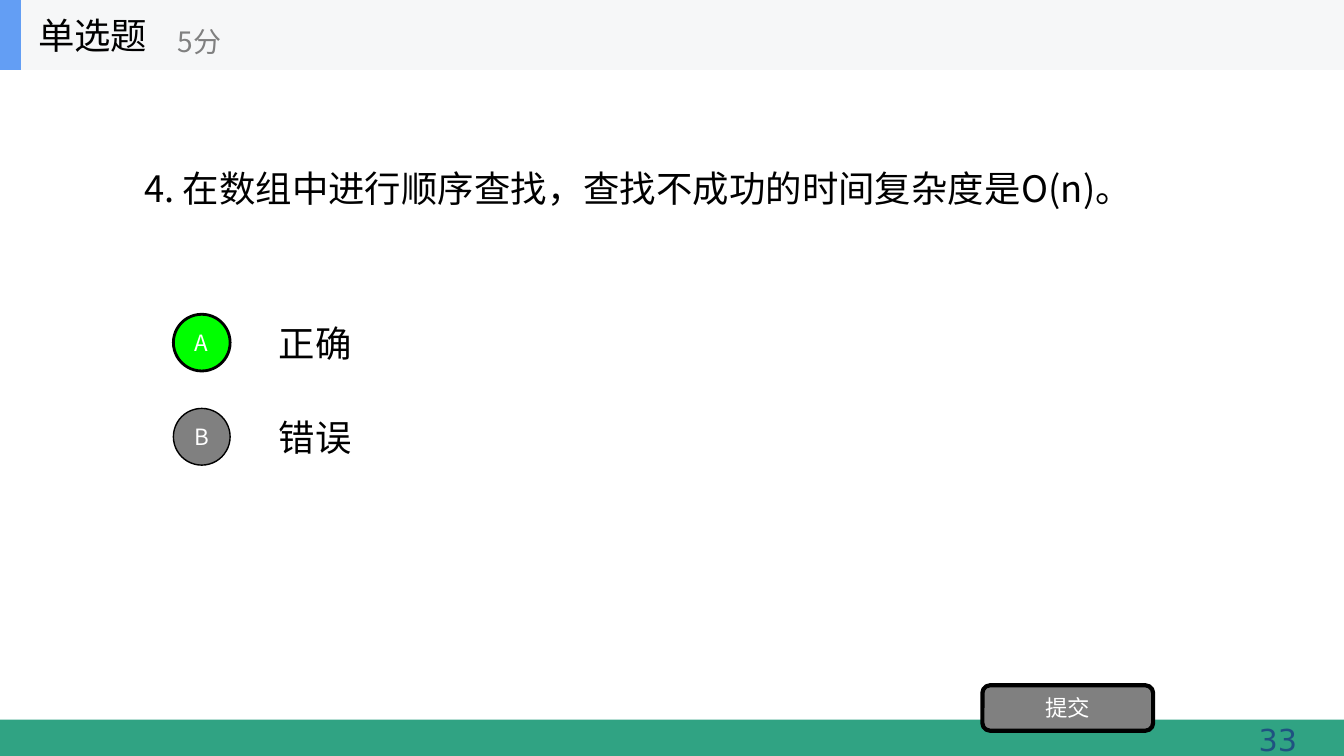
from pptx import Presentation
from pptx.dml.color import RGBColor
from pptx.enum.shapes import MSO_SHAPE as SHAPE
from pptx.enum.text import MSO_ANCHOR as ANCHOR, PP_ALIGN as ALIGN
from pptx.oxml.ns import qn
from pptx.util import Inches, Pt
from lxml import etree

BLACK = RGBColor(0x00, 0x00, 0x00)
WHITE = RGBColor(0xFF, 0xFF, 0xFF)
GREY = RGBColor(0x80, 0x80, 0x80)
PALE = RGBColor(0xF6, 0xF7, 0xF8)
BLUE = RGBColor(0x63, 0x9E, 0xF4)
NAVY = RGBColor(0x1F, 0x52, 0x81)
TEAL = RGBColor(0x30, 0xA3, 0x83)
GREEN = RGBColor(0x00, 0xFF, 0x00)


class QuizSlide:
    """Draws on one slide; boxes are (x, y, w, h) in percent of its size."""

    font = "Noto Sans CJK SC"

    def __init__(self, prs):
        self.w, self.h = prs.slide_width, prs.slide_height
        self.s = prs.slides.add_slide(prs.slide_layouts[6])

    def place(self, box):
        x, y, w, h = box
        return [int(v / 100 * size) for v, size in
                ((x, self.w), (y, self.h), (w, self.w), (h, self.h))]

    def fill_text(self, sp, text, size, color, align=ALIGN.LEFT,
                  anchor=ANCHOR.MIDDLE, font=None):
        tf = sp.text_frame
        tf.word_wrap = True
        tf.vertical_anchor = anchor
        p = tf.paragraphs[0]
        p.alignment = align
        r = p.add_run()
        r.text = text
        r.font.color.rgb = color
        for name, value in {"size": Pt(size), "name": font or self.font}.items():
            setattr(r.font, name, value)
        # East Asian typeface
        ea = etree.SubElement(r.font._element, qn("a:ea"))
        ea.set("typeface", self.font)

    def text(self, box, text, size=26, color=BLACK, **style):
        sp = self.s.shapes.add_textbox(*self.place(box))
        self.fill_text(sp, text, size, color, **style)

    def shape(self, kind, box, fill, line=0, label=None):
        sp = self.s.shapes.add_shape(kind, *self.place(box))
        sp.shadow.inherit = False
        sp.fill.solid()
        sp.fill.fore_color.rgb = fill
        if line:
            sp.line.color.rgb = BLACK
            sp.line.width = Pt(line)
        else:
            sp.line.fill.background()
        if label:
            tf = sp.text_frame
            for side in ("left", "right", "top", "bottom"):
                setattr(tf, f"margin_{side}", 0)
            self.fill_text(sp, label, 16, WHITE, align=ALIGN.CENTER)


def main():
    prs = Presentation()
    prs.slide_width, prs.slide_height = Inches(13.33), Inches(7.5)
    quiz = QuizSlide(prs)

    # Footer band and page number
    quiz.shape(SHAPE.RECTANGLE, (0, 95.2, 100, 4.8), TEAL)
    quiz.text((75.25, 94.8, 22, 6.1), "33", 21.6, NAVY, align=ALIGN.RIGHT,
              anchor=ANCHOR.TOP, font="DejaVu Sans")

    # Question
    quiz.text((10, 9.26, 80, 31.2), "4. 在数组中进行顺序查找，查找不成功的时间复杂度是O(n)。")

    # Answer options
    options = [("A", "正确", GREEN, 2), ("B", "错误", GREY, 1)]
    for i, (letter, answer, fill, line) in enumerate(options):
        y = 40.67 + 12.45 * i
        quiz.text((20, y, 70, 9.33), answer)
        quiz.shape(SHAPE.OVAL, (12.9, y + 0.9, 4.22, 7.5), fill, line, letter)

    # Submit button
    quiz.shape(SHAPE.ROUNDED_RECTANGLE, (73.1, 90.65, 12.7, 6), GREY, 3, "提交")

    # Header
    quiz.shape(SHAPE.RECTANGLE, (0, 0, 100, 9.26), PALE)
    quiz.shape(SHAPE.RECTANGLE, (0, 0, 1.56, 9.26), BLUE)
    quiz.text((2.1, 0, 15.6, 9.26), "单选题")
    quiz.text((12.5, 1.65, 18.75, 7.5), "5分", 20, GREY)

    prs.save("out.pptx")


if __name__ == "__main__":
    main()
